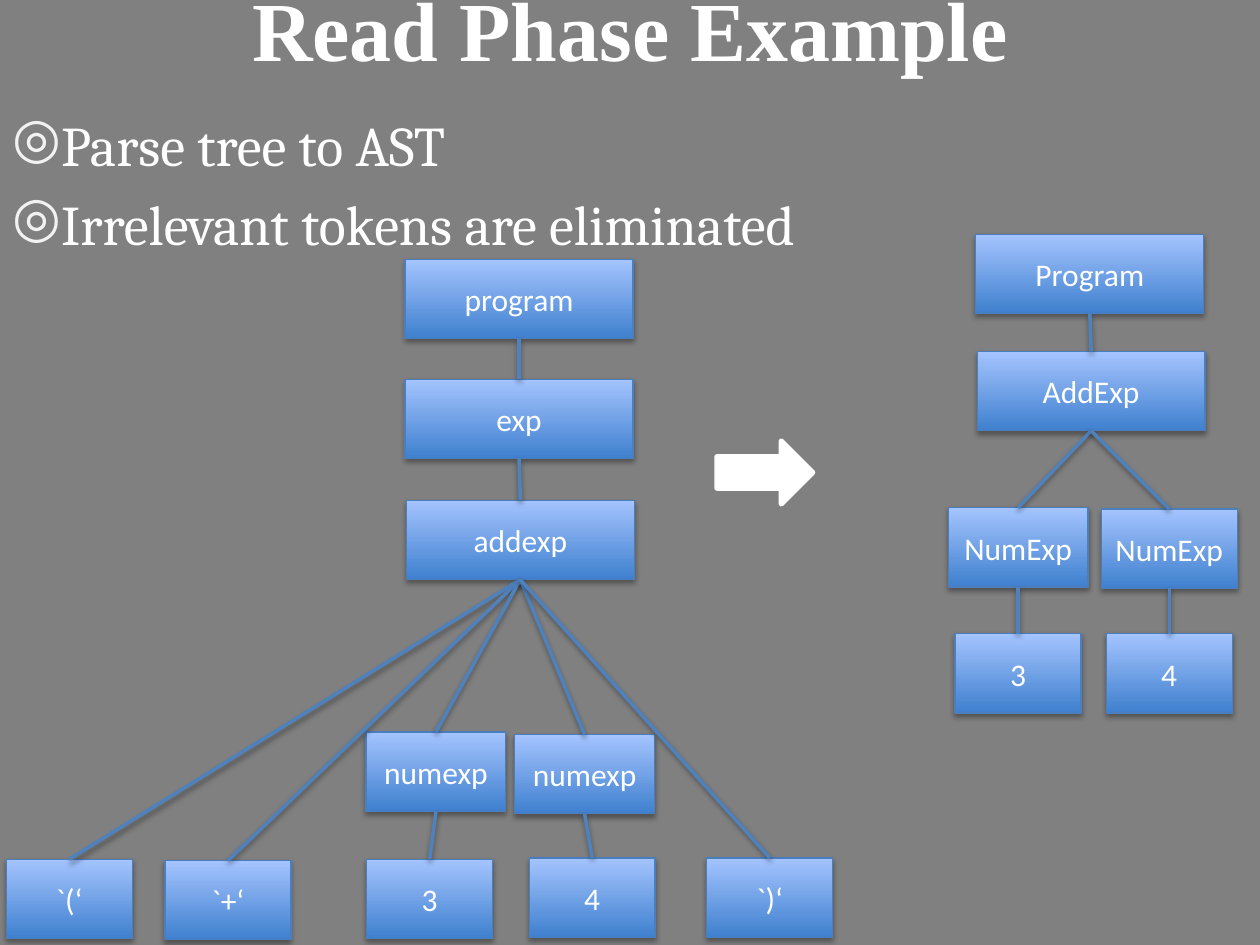
from dataclasses import dataclass

from lxml import etree
from pptx import Presentation
from pptx.dml.color import RGBColor
from pptx.enum.shapes import MSO_CONNECTOR, MSO_SHAPE
from pptx.enum.text import MSO_ANCHOR, MSO_AUTO_SIZE, PP_ALIGN
from pptx.oxml.ns import qn
from pptx.util import Inches, Pt

RECTANGLE = MSO_SHAPE.RECTANGLE
RIGHT_ARROW = MSO_SHAPE.RIGHT_ARROW
STRAIGHT = MSO_CONNECTOR.STRAIGHT
CENTER = PP_ALIGN.CENTER
TITLE_ONLY = 5
TOP_SITE, BOTTOM_SITE = 0, 2


@dataclass(frozen=True)
class Theme:
    background: str = "808080"
    text: str = "FFFFFF"
    bullet: str = "F2F2F2"
    node_bottom: str = "3F80CE"
    node_top: str = "A4C4FF"
    node_line: str = "4B7EBC"
    edge: str = "4F81BD"
    shadow: str = "000000"
    title_font: str = "Times New Roman"
    body_font: str = "Cambria"
    node_font: str = "Calibri"
    title_size: int = 48
    body_size: int = 32
    node_size: int = 18


@dataclass(frozen=True)
class Node:
    """A tree node; centre and top are inches from the corner of its tree."""
    text: str
    centre: float
    top: float
    width: float
    children: tuple = ()


THEME = Theme()
NODE_HEIGHT = 0.63
WIDE, MEDIUM, NARROW = 1.81, 1.11, 1

PARSE_TREE = Node("program", 4.07, 0, WIDE, (
    Node("exp", 4.07, 0.95, WIDE, (
        Node("addexp", 4.08, 1.91, WIDE, (
            Node("`(‘", 0.5, 4.76, NARROW),
            Node("`+‘", 1.76, 4.77, NARROW),
            Node("numexp", 3.41, 3.75, MEDIUM, (Node("3", 3.36, 4.76, NARROW),)),
            Node("numexp", 4.59, 3.77, MEDIUM, (Node("4", 4.65, 4.75, NARROW),)),
            Node("`)‘", 6.06, 4.75, NARROW),
        )),
    )),
))
SYNTAX_TREE = Node("Program", 1.13, 0, WIDE, (
    Node("AddExp", 1.14, 0.93, WIDE, (
        Node("NumExp", 0.56, 2.17, MEDIUM, (Node("3", 0.56, 3.17, NARROW),)),
        Node("NumExp", 1.76, 2.18, 1.08, (Node("4", 1.76, 3.17, NARROW),)),
    )),
))


def color(value):
    return RGBColor.from_string(value)


def add_run(paragraph, text, font, size, bold=False):
    run = paragraph.add_run()
    run.text = text
    run.font.name = font
    run.font.size = Pt(size)
    run.font.bold = bold
    run.font.color.rgb = color(THEME.text)


def add_shadow(shape, opacity, distance):
    """Give a shape or connector a soft shadow that falls straight down."""
    properties = shape._element.spPr
    effects = etree.SubElement(properties, qn("a:effectLst"))
    shadow = etree.SubElement(effects, qn("a:outerShdw"), blurRad=str(Pt(3.1)),
                              dist=str(Pt(distance)), dir="5400000", rotWithShape="0")
    shade = etree.SubElement(shadow, qn("a:srgbClr"), val=THEME.shadow)
    etree.SubElement(shade, qn("a:alpha"), val=str(opacity * 1000))


def add_title(slide, text, left, top, width, height):
    title = slide.shapes.title
    title.left, title.top = Inches(left), Inches(top)
    title.width, title.height = Inches(width), Inches(height)
    frame = title.text_frame
    frame.auto_size = MSO_AUTO_SIZE.NONE
    frame.vertical_anchor = MSO_ANCHOR.BOTTOM
    paragraph = frame.paragraphs[0]
    paragraph.alignment = CENTER
    add_run(paragraph, text, THEME.title_font, THEME.title_size, bold=True)


def add_bullets(slide, lines, left, top, width, height):
    box = slide.shapes.add_textbox(Inches(left), Inches(top), Inches(width), Inches(height))
    frame = box.text_frame
    frame.word_wrap = True
    for index, line in enumerate(lines):
        paragraph = frame.add_paragraph() if index else frame.paragraphs[0]
        paragraph.space_before = Pt(THEME.body_size * 0.2)
        properties = paragraph._p.get_or_add_pPr()
        properties.set("marL", str(Inches(0.38)))
        properties.set("indent", str(Inches(-0.38)))
        bullet_color = etree.SubElement(properties, qn("a:buClr"))
        etree.SubElement(bullet_color, qn("a:srgbClr"), val=THEME.bullet)
        etree.SubElement(properties, qn("a:buChar"), char="◎")
        add_run(paragraph, line, THEME.body_font, THEME.body_size)


def add_node(group, node, left, top):
    shape = group.shapes.add_shape(
        RECTANGLE, Inches(left + node.centre - node.width / 2), Inches(top + node.top),
        Inches(node.width), Inches(NODE_HEIGHT))
    shape.fill.gradient()
    shape.fill.gradient_angle = 90
    for stop, value in zip(shape.fill.gradient_stops, (THEME.node_bottom, THEME.node_top)):
        stop.color.rgb = color(value)
    shape.line.color.rgb = color(THEME.node_line)
    shape.line.width = Pt(0.75)
    add_shadow(shape, 35, 1.8)
    frame = shape.text_frame
    frame.vertical_anchor = MSO_ANCHOR.MIDDLE
    paragraph = frame.paragraphs[0]
    paragraph.alignment = CENTER
    add_run(paragraph, node.text, THEME.node_font, THEME.node_size)
    return shape


def add_edge(group, parent, child):
    edge = group.shapes.add_connector(STRAIGHT, 0, 0, 0, 0)
    edge.begin_connect(parent, BOTTOM_SITE)
    edge.end_connect(child, TOP_SITE)
    edge.line.color.rgb = color(THEME.edge)
    edge.line.width = Pt(2)
    add_shadow(edge, 38, 1.6)


def add_tree(slide, root, left, top):
    """Draw all nodes first, then the edges, so that the edges lie in front."""
    group = slide.shapes.add_group_shape()
    edges = []

    def add_branch(node):
        shape = add_node(group, node, left, top)
        for child in node.children:
            edges.append((shape, add_branch(child)))
        return shape

    add_branch(root)
    for parent, child in edges:
        add_edge(group, parent, child)


def add_arrow(slide, left, top, width, height):
    arrow = slide.shapes.add_shape(
        RIGHT_ARROW, Inches(left), Inches(top), Inches(width), Inches(height))
    arrow.shadow.inherit = False
    arrow.fill.solid()
    arrow.fill.fore_color.rgb = color(THEME.text)
    arrow.line.color.rgb = color(THEME.text)
    arrow.line.width = Pt(3)


def main():
    presentation = Presentation()
    presentation.slide_width = Inches(10)
    presentation.slide_height = Inches(7.5)
    slide = presentation.slides.add_slide(presentation.slide_layouts[TITLE_ONLY])
    slide.background.fill.solid()
    slide.background.fill.fore_color.rgb = color(THEME.background)
    add_title(slide, "Read Phase Example", 0, 0, 10, 0.67)
    add_bullets(slide, ("Parse tree to AST", "Irrelevant tokens are eliminated"),
                0, 0.83, 10, 6.67)
    add_tree(slide, PARSE_TREE, 0.05, 2.06)
    add_tree(slide, SYNTAX_TREE, 7.52, 1.86)
    add_arrow(slide, 5.69, 3.5, 0.76, 0.5)
    presentation.save("out.pptx")


if __name__ == "__main__":
    main()
